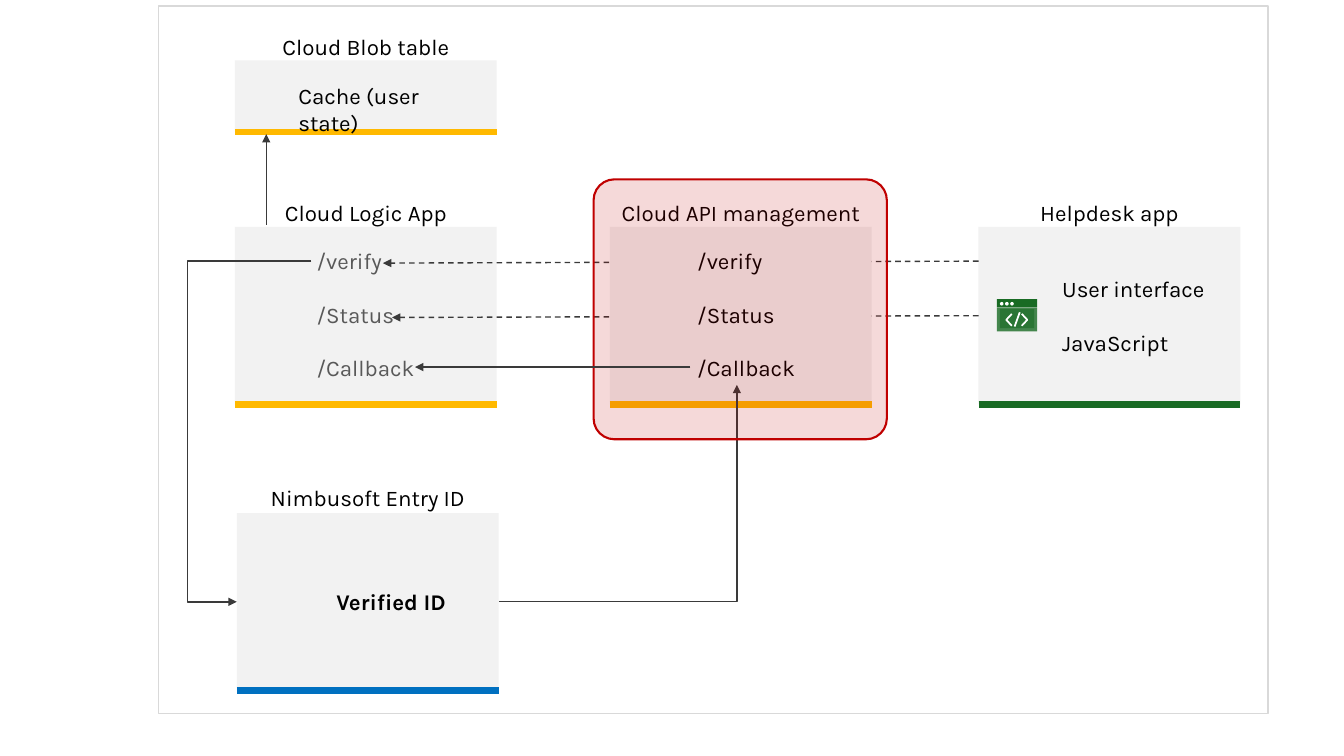
from lxml import etree
from pptx import Presentation
from pptx.dml.color import RGBColor
from pptx.enum.dml import MSO_LINE
from pptx.enum.shapes import MSO_CONNECTOR, MSO_SHAPE
from pptx.enum.text import PP_ALIGN
from pptx.oxml.ns import qn
from pptx.util import Cm, Pt

RECTANGLE, ROUNDED, OVAL = MSO_SHAPE.RECTANGLE, MSO_SHAPE.ROUNDED_RECTANGLE, MSO_SHAPE.OVAL
STRAIGHT, ELBOW = MSO_CONNECTOR.STRAIGHT, MSO_CONNECTOR.ELBOW
DASH = MSO_LINE.DASH
LEFT, CENTER = PP_ALIGN.LEFT, PP_ALIGN.CENTER

FONT = "Karla"
BLACK, GRAY, INK, WHITE = "000000", "595959", "3A3A3A", "FFFFFF"
PANEL, FRAME = "F2F2F2", "D9D9D9"
YELLOW, GREEN, BLUE, RED = "FFB900", "196B24", "0070C0", "C00000"

PANEL_WIDTH, PANEL_HEIGHT, CACHE_HEIGHT = 6.6, 4.47, 1.8
LOGIC_LEFT, API_LEFT, HELPDESK_LEFT = 5.92, 15.37, 24.66
ROW_TOP, CACHE_TOP, IDENTITY_TOP = 5.72, 1.52, 12.93
IDENTITY_LEFT = 5.97
LINE_HEIGHT = 0.69
ROUTES = ["/verify", "/Status", "/Callback"]


def color(value):
    return RGBColor.from_string(value)


def add_box(shapes, kind, left, top, width, height, fill=None, alpha=100, line=None, weight=1):
    shape = shapes.add_shape(kind, Cm(left), Cm(top), Cm(width), Cm(height))
    shape.shadow.inherit = False
    if fill:
        shape.fill.solid()
        shape.fill.fore_color.rgb = color(fill)
        if alpha < 100:
            tint = shape.fill._xPr.find(".//" + qn("a:srgbClr"))
            etree.SubElement(tint, qn("a:alpha"), val=str(alpha * 1000))
    else:
        shape.fill.background()
    if line:
        shape.line.color.rgb = color(line)
        shape.line.width = Pt(weight)
    else:
        shape.line.fill.background()
    return shape


def add_text(shapes, left, top, width, lines, align=LEFT, text_color=BLACK, bold=False):
    height = LINE_HEIGHT * (2 * len(lines) - 1)
    frame = shapes.add_textbox(Cm(left), Cm(top), Cm(width), Cm(height)).text_frame
    frame.word_wrap = True
    frame.margin_left = frame.margin_right = frame.margin_top = frame.margin_bottom = 0
    for index, line in enumerate(lines):
        paragraph = frame.add_paragraph() if index else frame.paragraphs[0]
        paragraph.text = line
        paragraph.alignment = align
        if index:
            paragraph.space_before = Pt(19.3)
        paragraph.font.name = FONT
        paragraph.font.size = Pt(16)
        paragraph.font.bold = bold
        paragraph.font.color.rgb = color(text_color)


def add_line(shapes, start, end, line=INK, weight=1, kind=STRAIGHT, dash=None, arrow=True):
    connector = shapes.add_connector(kind, *(Cm(value) for value in (*start, *end)))
    connector.line.color.rgb = color(line)
    connector.line.width = Pt(weight)
    if dash:
        connector.line.dash_style = dash
    if arrow:
        etree.SubElement(connector.line._get_or_add_ln(), qn("a:tailEnd"), type="triangle")
    etree.SubElement(connector._element.spPr, qn("a:effectLst"))
    return connector


def add_elbow(shapes, start, end, preset, bend=None):
    connector = add_line(shapes, start, end, kind=ELBOW)
    geometry = connector._element.spPr.find(qn("a:prstGeom"))
    geometry.set("prst", preset)
    if bend is not None:
        guides = geometry.find(qn("a:avLst"))
        etree.SubElement(guides, qn("a:gd"), name="adj1", fmla=f"val {round(bend * 100000)}")


def add_panel(shapes, left, top, height, title, accent, title_gap=LINE_HEIGHT):
    """Gray panel with a title above it and a coloured rule along its bottom."""
    panel = add_box(shapes, RECTANGLE, left, top, PANEL_WIDTH, height, PANEL)
    bottom = top + height
    add_line(shapes, (left, bottom), (left + PANEL_WIDTH, bottom), accent, 4.5, arrow=False)
    add_text(shapes, left, top - title_gap, PANEL_WIDTH, [title], CENTER)
    return panel


def add_code_icon(shapes, left, top):
    """Browser window with a code symbol."""
    icon = shapes.add_group_shape().shapes
    add_box(icon, RECTANGLE, left, top + 0.21, 1.02, 0.6, GREEN, 80)
    add_box(icon, RECTANGLE, left + 0.08, top + 0.25, 0.86, 0.48, GREEN, 60)
    add_box(icon, RECTANGLE, left, top, 1.02, 0.21, GREEN)
    for index in range(3):
        add_box(icon, OVAL, left + 0.08 + 0.13 * index, top + 0.07, 0.09, 0.09, WHITE)
    strokes = [
        [(0.38, 0.37), (0.24, 0.52), (0.38, 0.67)],
        [(0.58, 0.33), (0.45, 0.69)],
        [(0.63, 0.37), (0.77, 0.52), (0.63, 0.67)],
    ]
    for stroke in strokes:
        points = [(Cm(left + x), Cm(top + y)) for x, y in stroke]
        builder = icon.build_freeform(*points[0])
        builder.add_line_segments(points[1:], close=False)
        shape = builder.convert_to_shape()
        shape.shadow.inherit = False
        shape.fill.background()
        shape.line.color.rgb = color(WHITE)
        shape.line.width = Pt(1.25)


def add_cache(shapes, left, top):
    add_panel(shapes, left, top, CACHE_HEIGHT, "Cloud Blob table", YELLOW)
    add_text(shapes, left + 1.6, top + 0.56, 4.6, ["Cache (user state)"])


def add_logic_app(shapes, left, top):
    add_panel(shapes, left, top, PANEL_HEIGHT, "Cloud Logic App", YELLOW)
    add_text(shapes, left + 2.06, top + 0.5, 4.3, ROUTES, text_color=GRAY)


def add_api(shapes, left, top):
    add_panel(shapes, left, top, PANEL_HEIGHT, "Cloud API management", YELLOW)
    add_text(shapes, left + 2.2, top + 0.5, 4.3, ROUTES)


def add_helpdesk(shapes, left, top):
    panel = add_panel(shapes, left, top, PANEL_HEIGHT, "Helpdesk app", GREEN)
    add_code_icon(shapes, left + 0.46, top + 1.82)
    add_text(shapes, left + 2.11, top + 1.22, 4.3, ["User interface", "JavaScript"])
    return panel


def add_identity(shapes, left, top):
    add_panel(shapes, left, top, PANEL_HEIGHT, "Nimbusoft Entry ID", BLUE, 0.74)
    add_text(shapes, left + 2.51, top + 1.88, 4.3, ["Verified ID"], bold=True)


def build_slide(presentation):
    shapes = presentation.slides.add_slide(presentation.slide_layouts[6]).shapes
    identity_middle = IDENTITY_TOP + PANEL_HEIGHT / 2

    # Panels at both ends of the calls
    add_cache(shapes, LOGIC_LEFT, CACHE_TOP)
    add_logic_app(shapes, LOGIC_LEFT, ROW_TOP)
    helpdesk = add_helpdesk(shapes, HELPDESK_LEFT, ROW_TOP)
    add_identity(shapes, IDENTITY_LEFT, IDENTITY_TOP)

    # Calls passing behind the API panel
    add_line(shapes, (HELPDESK_LEFT, 6.58), (9.65, 6.63), dash=DASH)
    status_call = add_line(shapes, (HELPDESK_LEFT, 7.95), (9.88, 8), dash=DASH)
    status_call.begin_connect(helpdesk, 1)
    add_api(shapes, API_LEFT, ROW_TOP)

    # State, verification and callback flows
    add_line(shapes, (6.71, 5.66), (6.71, 3.38))
    add_elbow(shapes, (7.85, 6.58), (IDENTITY_LEFT, identity_middle), "bentConnector3", 1.66)
    add_elbow(shapes, (IDENTITY_LEFT + PANEL_WIDTH, identity_middle), (18.57, 9.7),
              "bentConnector2")

    # Highlight over the API panel
    highlight = add_box(shapes, ROUNDED, 14.96, 4.52, 7.39, 6.55, RED, 15, RED, 1.5)
    highlight.adjustments[0] = 0.08
    add_line(shapes, (17.4, 9.25), (10.46, 9.25))

    # Frame around the diagram
    add_box(shapes, RECTANGLE, 3.99, 0.15, 27.97, 17.83, line=FRAME)


def main():
    presentation = Presentation()
    presentation.slide_width, presentation.slide_height = Cm(33.87), Cm(19.05)
    build_slide(presentation)
    presentation.save("out.pptx")


if __name__ == "__main__":
    main()
